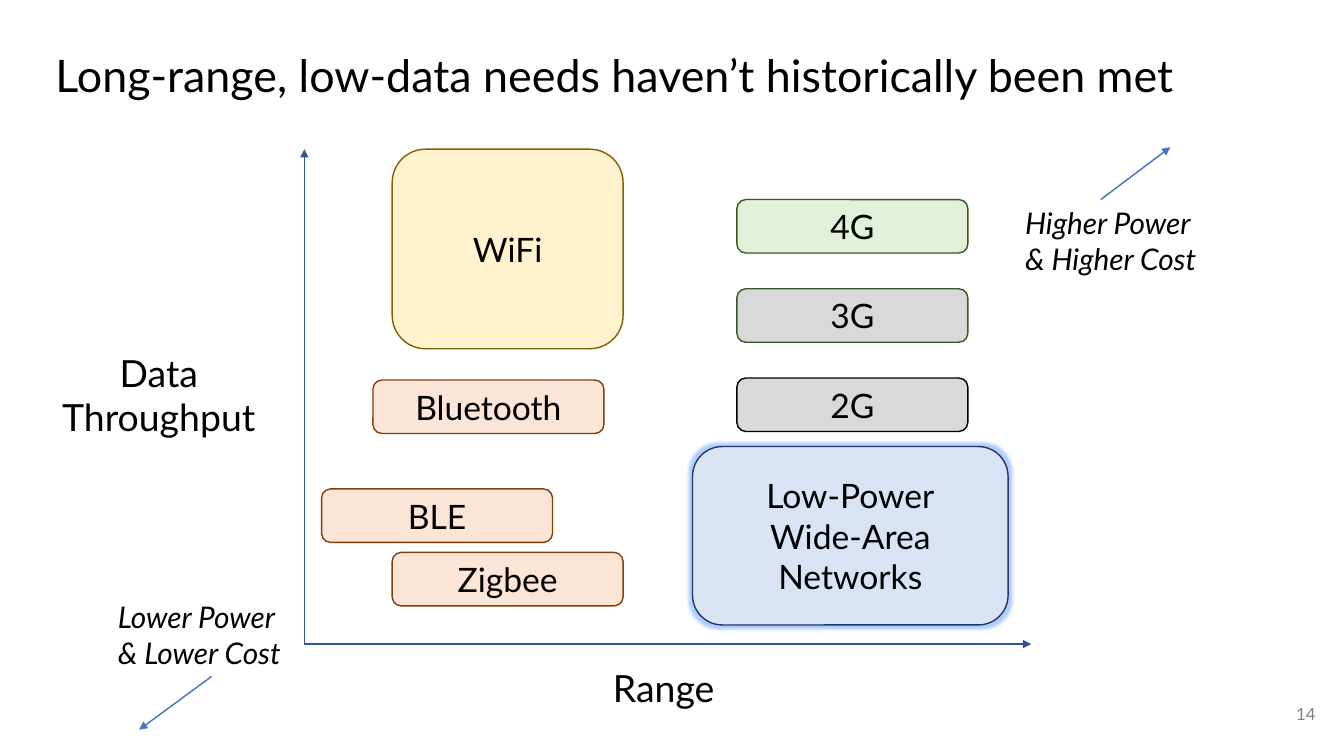
import pptx
import pptx.dml.color
import pptx.enum.shapes
import pptx.enum.text
import pptx.oxml
import pptx.oxml.ns
import pptx.util

FONT = "Lato"
color = pptx.dml.color.RGBColor.from_string
Align = pptx.enum.text.PP_ALIGN
Anchor = pptx.enum.text.MSO_ANCHOR
NAMESPACE = pptx.oxml.ns.nsdecls("a")

presentation = pptx.Presentation()
presentation.slide_width = pptx.util.Inches(13.33)
presentation.slide_height = pptx.util.Inches(7.5)
slide = presentation.slides.add_slide(presentation.slide_layouts[5])


def grid(*lengths):
    """Turn alternating columns and rows of a 100 by 100 grid into slide lengths."""
    sides = (presentation.slide_width, presentation.slide_height)
    return [int(length * sides[index % 2] / 100) for index, length in enumerate(lengths)]


def write(shape, paragraphs, size, align, anchor=Anchor.TOP, ink="000000", italic=False, inset=None):
    """Fill a shape with paragraphs, each given as a list of lines."""
    frame = shape.text_frame
    frame.word_wrap = True
    frame.auto_size = pptx.enum.text.MSO_AUTO_SIZE.NONE
    frame.vertical_anchor = anchor
    if inset:
        frame.margin_left = frame.margin_right = pptx.util.Inches(inset)
        frame.margin_top = frame.margin_bottom = pptx.util.Inches(inset)
    for number, lines in enumerate(paragraphs):
        paragraph = frame.add_paragraph() if number else frame.paragraphs[0]
        paragraph.alignment = align
        for position, line in enumerate(lines):
            if position:
                paragraph.add_line_break()
            run = paragraph.add_run()
            run.text = line
            run.font.name = FONT
            run.font.size = pptx.util.Pt(size)
            run.font.italic = italic
            run.font.color.rgb = color(ink)


# Title and slide number
title = slide.shapes.title
title.left, title.top, title.width, title.height = grid(3.38, 5.73, 93.15, 11.2)
write(title, [["Long-range, low-data needs haven’t historically been met"]], 32, Align.LEFT, inset=0.1)
title.text_frame.paragraphs[0].line_spacing = 0.9

slide_number = slide.shapes.add_textbox(*grid(92.63, 90.67, 6, 7.6))
write(slide_number, [["14"]], 12, Align.RIGHT, Anchor.MIDDLE, "808080", inset=0.1)

# Axes and the two trend arrows
ORIGIN = (22.65, 85.2)
arrows = [
    (ORIGIN, (ORIGIN[0], 19.73), "2F5597"),
    (ORIGIN, (76.73, ORIGIN[1]), "2F5597"),
    ((15.75, 89.47), (10.35, 96.53), "4472C4"),
    ((81.9, 26.4), (87.08, 19.47), "4472C4"),
]
for start, end, ink in arrows:
    arrow = slide.shapes.add_connector(
        pptx.enum.shapes.MSO_CONNECTOR.STRAIGHT, *grid(*start, *end))
    arrow.line.color.rgb = color(ink)
    arrow.line.width = pptx.util.Pt(1)
    arrow.line._get_or_add_ln().append(
        pptx.oxml.parse_xml(f'<a:tailEnd {NAMESPACE} type="triangle"/>'))
    arrow._element.spPr.append(pptx.oxml.parse_xml(f"<a:effectLst {NAMESPACE}/>"))

# Network technologies
WIDTH, HEIGHT = 17.18, 7.07
CELLULAR_LEFT, CELLULAR_TOP, CELLULAR_STEP = 54.83, 26.4, 11.8
SHORT_RANGE = ("FBE5D6", "843C0B")
technologies = [
    (["WiFi"], 29.18, 19.73, WIDTH, 26.4, "FFF2CC", "806000"),
    (["Bluetooth"], 27.75, 50.27, WIDTH, HEIGHT, *SHORT_RANGE),
    (["BLE"], 23.93, 64.67, WIDTH, HEIGHT, *SHORT_RANGE),
    (["Zigbee"], 29.18, 73.07, WIDTH, HEIGHT, *SHORT_RANGE),
]
cellular = [("4G", "E2F0D9", "385723"), ("3G", "D9D9D9", "385723"), ("2G", "D9D9D9", "000000")]
for row, (name, fill, outline) in enumerate(cellular):
    top = CELLULAR_TOP + row * CELLULAR_STEP
    technologies.append(([name], CELLULAR_LEFT, top, WIDTH, HEIGHT, fill, outline))
technologies.append(
    (["Low-Power", "Wide-Area Networks"], 51.53, 59.07, 23.48, 23.6, "DAE3F3", "203864"))

for lines, left, top, width, height, fill, outline in technologies:
    box = slide.shapes.add_shape(
        pptx.enum.shapes.MSO_SHAPE.ROUNDED_RECTANGLE, *grid(left, top, width, height))
    box.shadow.inherit = False
    box.fill.solid()
    box.fill.fore_color.rgb = color(fill)
    box.line.color.rgb = color(outline)
    box.line.width = pptx.util.Pt(1)
    write(box, [lines], 24, Align.CENTER, Anchor.MIDDLE)

# Glow around the last box, the low-power networks
effects = box._element.spPr.find(pptx.oxml.ns.qn("a:effectLst"))
effects.append(pptx.oxml.parse_xml(
    f'<a:glow {NAMESPACE} rad="63500"><a:srgbClr val="4080FF">'
    '<a:alpha val="40000"/></a:srgbClr></a:glow>'))

# Axis names and trend labels
labels = [
    ([["Data"], ["Throughput"]], (3.38, 45.6, 16.88, 13.33), 26.7, Align.CENTER, False),
    ([["Range"]], (41.85, 87.33, 15.08, 7.33), 26.7, Align.CENTER, False),
    ([["Lower Power", "& Lower Cost"]], (8.03, 78.53, 15.23, 10.93), 21.3, Align.LEFT, True),
    ([["Higher Power", "& Higher Cost"]], (75.53, 26.4, 16.2, 10.93), 21.3, Align.LEFT, True),
]
for paragraphs, area, size, align, italic in labels:
    label = slide.shapes.add_textbox(*grid(*area))
    write(label, paragraphs, size, align, italic=italic)

presentation.save("out.pptx")
